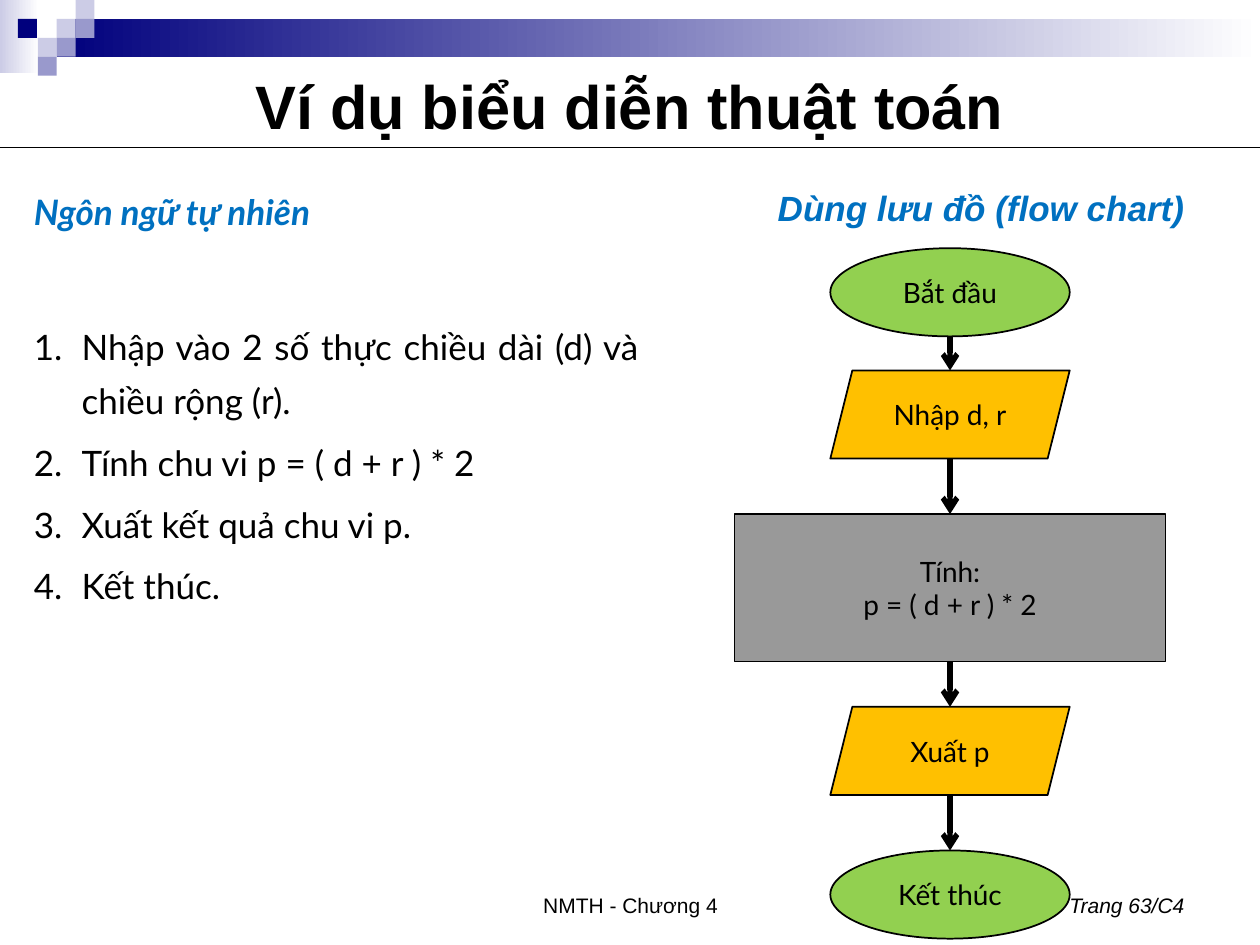
from dataclasses import dataclass

from pptx import Presentation
from pptx.dml.color import RGBColor
from pptx.enum.shapes import MSO_CONNECTOR, MSO_SHAPE
from pptx.enum.text import MSO_ANCHOR, PP_ALIGN
from pptx.oxml.ns import qn
from pptx.util import Inches, Pt
from lxml.etree import SubElement


@dataclass(frozen=True)
class Theme:
    navy: str = "00007D"
    lavender: str = "9999CC"
    pale: str = "CCCCE6"
    white: str = "FFFFFF"
    ink: str = "000000"
    heading: str = "0070C0"
    terminal: str = "92D050"
    data: str = "FFC000"
    process: str = "999999"
    title_font: str = "Arial"
    text_font: str = "Lato"
    title_size: int = 35
    body_size: int = 20
    node_size: int = 16
    footer_size: int = 12


THEME = Theme()


def color(code):
    return RGBColor.from_string(code)


def add_run(paragraph, text, size, font, ink=THEME.ink, bold=False, italic=False):
    run = paragraph.add_run()
    run.text = text
    run.font.size = Pt(size)
    run.font.name = font
    run.font.bold = bold
    run.font.italic = italic
    run.font.color.rgb = color(ink)


def add_block(slide, preset, box, fill, end_fill=None, line=None):
    """Add a preset shape; end_fill turns its fill into a left-to-right gradient."""
    block = slide.shapes.add_shape(preset, *map(Inches, box))
    block.shadow.inherit = False
    if end_fill:
        block.fill.gradient()
        block.fill.gradient_angle = 0
        for stop, position, code in zip(block.fill.gradient_stops, (0, 1), (fill, end_fill)):
            stop.position = position
            stop.color.rgb = color(code)
    else:
        block.fill.solid()
        block.fill.fore_color.rgb = color(fill)
    if line:
        block.line.color.rgb = color(line)
        block.line.width = Pt(1)
    else:
        block.line.fill.background()
    return block


def add_line(slide, start, end, width, arrow=False):
    line = slide.shapes.add_connector(MSO_CONNECTOR.STRAIGHT, *map(Inches, (*start, *end)))
    line.line.color.rgb = color(THEME.ink)
    line.line.width = Pt(width)
    if arrow:
        SubElement(line.line._get_or_add_ln(), qn("a:tailEnd"), type="arrow")
    SubElement(line._element.spPr, qn("a:effectLst"))


def add_text_frame(slide, box, anchor):
    frame = slide.shapes.add_textbox(*map(Inches, box)).text_frame
    frame.word_wrap = True
    frame.vertical_anchor = anchor
    return frame


def add_label(slide, box, text, size, align, anchor, **style):
    """Add one line of text in the title font."""
    paragraph = add_text_frame(slide, box, anchor).paragraphs[0]
    paragraph.alignment = align
    add_run(paragraph, text, size, THEME.title_font, **style)


def add_banner(slide, box):
    left, top, width, height = box
    cell = 0.15
    add_block(slide, MSO_SHAPE.RECTANGLE, (left, top, 0.31, height), THEME.pale, THEME.white)
    add_block(slide, MSO_SHAPE.RECTANGLE,
              (left + 3 * cell, top + cell, width - 3 * cell, 2 * cell), THEME.navy, THEME.white)
    mosaic = [
        (3, 1, THEME.pale), (4, 0, THEME.pale), (4, 1, THEME.lavender), (2, 2, THEME.pale),
        (0.95, 1, THEME.navy), (3, 2, THEME.lavender), (2, 3, THEME.lavender),
    ]
    for column, row, fill in mosaic:
        add_block(slide, MSO_SHAPE.RECTANGLE,
                  (left + column * cell, top + row * cell, cell, cell), fill)


def set_title(slide, box, text):
    title = slide.shapes.title
    title.left, title.top, title.width, title.height = map(Inches, box)
    title.text_frame.vertical_anchor = MSO_ANCHOR.MIDDLE
    paragraph = title.text_frame.paragraphs[0]
    paragraph.alignment = PP_ALIGN.CENTER
    add_run(paragraph, text, THEME.title_size, THEME.title_font, bold=True)


def add_steps(slide, box, heading, steps):
    """Add the algorithm in words: a heading and numbered steps."""
    frame = add_text_frame(slide, box, MSO_ANCHOR.TOP)
    for number, text in enumerate([heading, *steps]):
        paragraph = frame.paragraphs[0] if number == 0 else frame.add_paragraph()
        paragraph.alignment = PP_ALIGN.JUSTIFY
        paragraph.line_spacing = 1.3
        paragraph.space_before = Pt(46 if number == 1 else 4)
        properties = paragraph._p.get_or_add_pPr()
        properties.set("marL", str(Inches(0.38)))
        properties.set("indent", str(-Inches(0.38)))
        if number == 0:
            add_run(paragraph, text, THEME.body_size, THEME.text_font,
                    THEME.heading, bold=True, italic=True)
        else:
            SubElement(properties, qn("a:buFont"), typeface="+mj-lt")
            SubElement(properties, qn("a:buAutoNum"), type="arabicPeriod")
            add_run(paragraph, text, THEME.body_size, THEME.text_font)


def add_flowchart(slide, box):
    left, top, width, _ = box
    center = left + width / 2
    small = (1.9, 0.7)
    # preset, fill, size, offset from the top of the box, lines of text
    nodes = [
        (MSO_SHAPE.OVAL, THEME.terminal, small, 0, ["Bắt đầu"]),
        (MSO_SHAPE.PARALLELOGRAM, THEME.data, small, 0.97, ["Nhập d, r"]),
        (MSO_SHAPE.RECTANGLE, THEME.process, (width, 1.17), 2.11, ["Tính:", "p = ( d + r ) * 2"]),
        (MSO_SHAPE.PARALLELOGRAM, THEME.data, small, 3.64, ["Xuất p"]),
        (MSO_SHAPE.OVAL, THEME.terminal, small, 4.78, ["Kết thúc"]),
    ]
    for (_, _, size, offset, _), following in zip(nodes, nodes[1:]):
        add_line(slide, (center, top + offset + size[1]), (center, top + following[3]), 3,
                 arrow=True)
    for preset, fill, (node_width, node_height), offset, lines in nodes:
        node = add_block(slide, preset,
                         (center - node_width / 2, top + offset, node_width, node_height),
                         fill, line=THEME.ink)
        frame = node.text_frame
        frame.vertical_anchor = MSO_ANCHOR.MIDDLE
        for index, text in enumerate(lines):
            paragraph = frame.add_paragraph() if index else frame.paragraphs[0]
            paragraph.alignment = PP_ALIGN.CENTER
            add_run(paragraph, text, THEME.node_size, THEME.text_font)


def add_footer(slide, top, height):
    add_label(slide, (3.42, top, 3.17, height), "NMTH - Chương 4", THEME.footer_size,
              PP_ALIGN.CENTER, MSO_ANCHOR.BOTTOM)
    add_label(slide, (7.17, top, 2.33, height), "Trang 63/C4", THEME.footer_size,
              PP_ALIGN.RIGHT, MSO_ANCHOR.BOTTOM, italic=True)


def main():
    deck = Presentation()
    deck.slide_width, deck.slide_height = Inches(10), Inches(7.5)
    slide = deck.slides.add_slide(deck.slide_layouts[5])
    add_banner(slide, (0, 0, 10, 0.58))
    add_line(slide, (0, 1.17), (10, 1.17), 0.75)
    set_title(slide, (0.5, 0.5, 9, 0.67), "Ví dụ biểu diễn thuật toán")
    add_label(slide, (5.5, 1.4, 4, 0.5), "Dùng lưu đồ (flow chart)", THEME.body_size,
              PP_ALIGN.RIGHT, MSO_ANCHOR.MIDDLE, ink=THEME.heading, bold=True, italic=True)
    add_flowchart(slide, (5.83, 1.97, 3.42, 5.48))
    add_steps(slide, (0.17, 1.36, 5, 6.09), "Ngôn ngữ tự nhiên", [
        "Nhập vào 2 số thực chiều dài (d) và chiều rộng (r).",
        "Tính chu vi p = ( d + r ) * 2",
        "Xuất kết quả chu vi p.",
        "Kết thúc.",
    ])
    add_footer(slide, 6.83, 0.5)
    deck.save("out.pptx")


if __name__ == "__main__":
    main()
